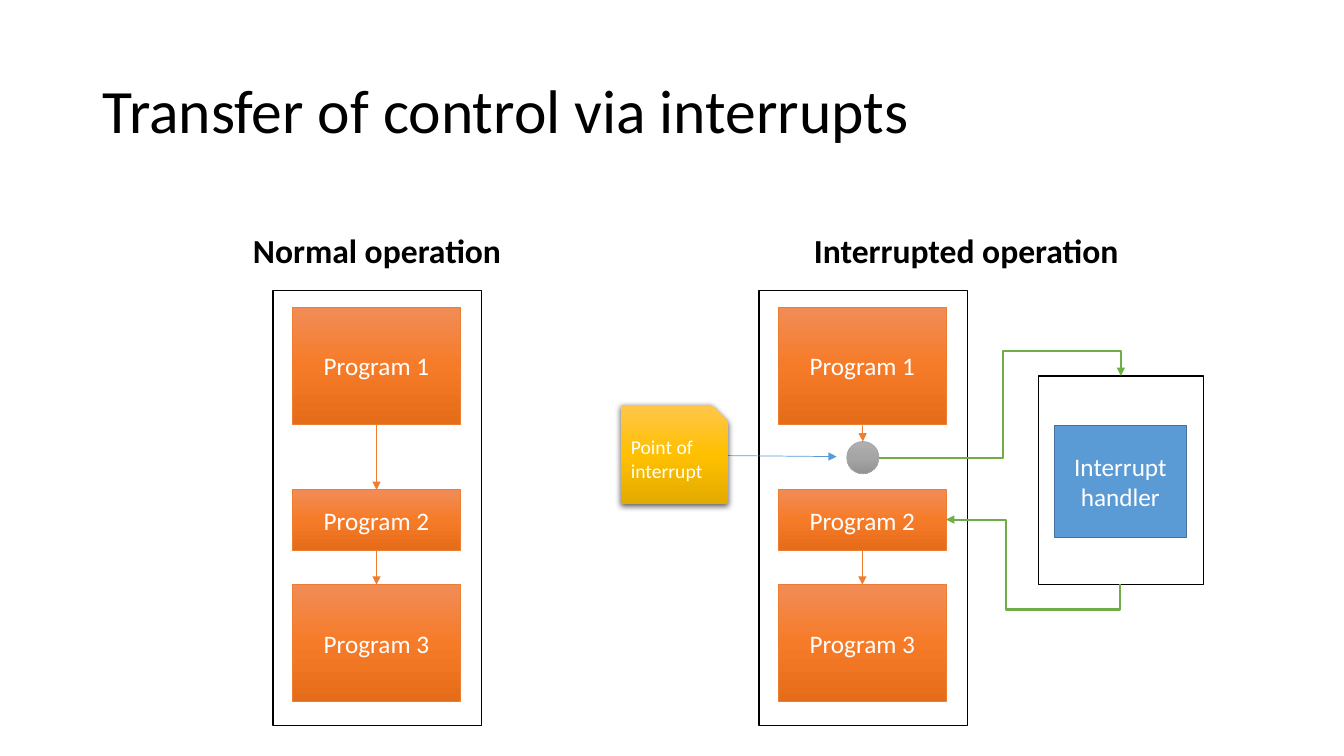
import copy
from dataclasses import dataclass
from typing import Any, Optional

import pptx
import pptx.dml.color
import pptx.enum.shapes
import pptx.enum.text
import pptx.oxml
import pptx.oxml.ns
import pptx.util

RGB = pptx.dml.color.RGBColor
KIND = pptx.enum.shapes.MSO_SHAPE
WIRE = pptx.enum.shapes.MSO_CONNECTOR
ALIGN = pptx.enum.text.PP_ALIGN
ANCHOR = pptx.enum.text.MSO_ANCHOR
Pt = pptx.util.Pt
qn = pptx.oxml.ns.qn

BLACK = RGB(0x00, 0x00, 0x00)
WHITE = RGB(0xFF, 0xFF, 0xFF)
ORANGE = RGB(0xED, 0x7D, 0x31)
BLUE = RGB(0x5B, 0x9B, 0xD5)
NAVY = RGB(0x43, 0x73, 0x9E)
GREEN = RGB(0x70, 0xAD, 0x47)
GREY = RGB(0xA5, 0xA5, 0xA5)
FLAME = (RGB(0xF1, 0x8C, 0x57), RGB(0xF6, 0x7B, 0x28), RGB(0xE5, 0x6C, 0x19))
STEEL = (RGB(0xAF, 0xAF, 0xAF), GREY, RGB(0x93, 0x93, 0x93))
GOLD = (RGB(0xFF, 0xC6, 0x4B), RGB(0xFF, 0xC0, 0x00), RGB(0xE3, 0xAB, 0x00))

FONT = "Calibri"
CELL = pptx.util.Inches(0.1)  # side of one grid cell
LANE_TOP, LANE_WIDE, LANE_HIGH = 28.8, 20.7, 43.2
STEP_WIDE = 16.6
TOP, LEFT, BASE, RIGHT = range(4)


@dataclass
class Box:
    """A shape placed by grid column and row."""
    col: float
    row: float
    wide: float
    high: float
    fill: tuple[RGB, ...] = (WHITE,)
    line: Optional[RGB] = BLACK
    weight: float = 1
    text: str = ""
    size: int = 18
    align: Any = ALIGN.CENTER
    kind: Any = KIND.RECTANGLE


@dataclass
class Head:
    """A heading held by a layout placeholder."""
    slot: int
    text: str
    col: float
    row: float
    wide: float
    high: float
    size: int
    bold: bool
    align: Any
    anchor: Any
    before: int


@dataclass
class Bend:
    """Frame, turn and adjustments of a four-part elbow."""
    frame: tuple[float, float, float, float]
    turn: int
    flip: str
    adjust: tuple[int, int]


HEADS = (
    Head(0, "Transfer of control via interrupts", 9.2, 4, 115, 14.5,
         44, False, ALIGN.LEFT, ANCHOR.MIDDLE, 0),
    Head(1, "Normal operation", 9.2, 18.4, 56.4, 9,
         24, True, ALIGN.CENTER, ANCHOR.BOTTOM, 10),
    Head(3, "Interrupted operation", 67.5, 18.4, 56.7, 9,
         24, True, ALIGN.CENTER, ANCHOR.BOTTOM, 10),
)
STEPS = (("Program 1", 30.5, 11.6), ("Program 2", 48.6, 6), ("Program 3", 58, 11.6))


def cells(*nums: float) -> list[int]:
    return [round(num * CELL) for num in nums]


def write(frame: Any, text: str, size: int, color: RGB, align: Any, bold: bool = False) -> Any:
    para = frame.paragraphs[0]
    para.alignment = align
    run = para.add_run()
    run.text = text
    run.font.name, run.font.size, run.font.bold = FONT, Pt(size), bold
    run.font.color.rgb = color
    return para


def put_head(slide: Any, head: Head) -> None:
    hold = next(ph for ph in slide.placeholders if ph.placeholder_format.idx == head.slot)
    hold.left, hold.top, hold.width, hold.height = cells(
        head.col, head.row, head.wide, head.high)
    frame = hold.text_frame
    frame.auto_size = pptx.enum.text.MSO_AUTO_SIZE.NONE
    frame.vertical_anchor = head.anchor
    para = write(frame, head.text, head.size, BLACK, head.align, head.bold)
    para.line_spacing, para.space_before = 0.9, Pt(head.before)


def paint(shape: Any, tones: tuple[RGB, ...]) -> None:
    """Fill with one colour, or with three from top to bottom."""
    if len(tones) == 1:
        shape.fill.solid()
        shape.fill.fore_color.rgb = tones[0]
        return
    shape.fill.gradient()
    shape.fill.gradient_angle = 270
    stops = shape.element.find(".//" + qn("a:gsLst"))
    stops.append(copy.deepcopy(stops[0]))
    for num, (stop, tone) in enumerate(zip(shape.fill.gradient_stops, tones)):
        stop.position = num / 2
        stop.color.rgb = tone


def put_box(slide: Any, box: Box) -> Any:
    shape = slide.shapes.add_shape(box.kind, *cells(box.col, box.row, box.wide, box.high))
    shape.shadow.inherit = False
    paint(shape, box.fill)
    if box.line is None:
        shape.line.fill.background()
    else:
        shape.line.color.rgb = box.line
        shape.line.width = Pt(box.weight)
    if box.text:
        shape.text_frame.word_wrap = True
        shape.text_frame.vertical_anchor = ANCHOR.MIDDLE
        write(shape.text_frame, box.text, box.size, WHITE, box.align)
    return shape


def cast(shape: Any) -> None:
    """Drop a soft shadow straight below the shape."""
    glow = shape.element.spPr.find(qn("a:effectLst"))
    glow.append(pptx.oxml.parse_xml(
        f'<a:outerShdw {pptx.oxml.ns.nsdecls("a")} blurRad="57150" dist="19050" '
        'dir="5400000" algn="ctr" rotWithShape="0"><a:srgbClr val="000000">'
        '<a:alpha val="63000"/></a:srgbClr></a:outerShdw>'))


def shape_bend(link: Any, bend: Bend) -> None:
    link.left, link.top, link.width, link.height = cells(*bend.frame)
    place = link.element.spPr.find(qn("a:xfrm"))
    for name in ("flipH", "flipV"):
        place.set(name, "1" if name == bend.flip else "0")
    place.set("rot", str(bend.turn * 60000))
    geom = link.element.spPr.find(qn("a:prstGeom"))
    geom.set("prst", "bentConnector4")
    guide = geom.find(qn("a:avLst"))
    for num, part in enumerate(bend.adjust, 1):
        gd = guide.makeelement(qn("a:gd"), {"name": f"adj{num}", "fmla": f"val {part}"})
        guide.append(gd)


def put_link(slide: Any, ends: tuple[float, float, float, float], color: RGB,
             weight: float = 0.5, start: Any = None, stop: Any = None,
             sides: tuple[int, int] = (BASE, TOP), bend: Optional[Bend] = None) -> None:
    """Draw an arrow, joined to the shapes given for its ends."""
    kind = WIRE.ELBOW if bend else WIRE.STRAIGHT
    link = slide.shapes.add_connector(kind, *cells(*ends))
    if start is not None:
        link.begin_connect(start, sides[0])
    if stop is not None:
        link.end_connect(stop, sides[1])
    if bend:
        shape_bend(link, bend)
    link.line.color.rgb = color
    link.line.width = Pt(weight)
    props = link.element.spPr
    edge = props.find(qn("a:ln"))
    edge.append(edge.makeelement(qn("a:tailEnd"), {"type": "triangle"}))
    props.append(props.makeelement(qn("a:effectLst"), {}))


def put_lane(slide: Any, col: float) -> list[Any]:
    """Draw a framed column of programs and return their shapes."""
    put_box(slide, Box(col, LANE_TOP, LANE_WIDE, LANE_HIGH))
    inset = col + 1.95
    return [put_box(slide, Box(inset, row, STEP_WIDE, high, FLAME, ORANGE, 0.5, text))
            for text, row, high in STEPS]


def join(slide: Any, first: Any, last: Any) -> None:
    put_link(slide, (0, 0, 1, 1), ORANGE, start=first, stop=last)


def main() -> None:
    deck = pptx.Presentation()
    deck.slide_width, deck.slide_height = cells(133.33, 75)
    slide = deck.slides.add_slide(deck.slide_layouts[4])
    for head in HEADS:
        put_head(slide, head)
    used = {head.slot for head in HEADS}
    for hold in list(slide.placeholders):
        if hold.placeholder_format.idx not in used:
            hold.element.getparent().remove(hold.element)

    one, two, three = put_lane(slide, 27.1)
    join(slide, one, two)
    join(slide, two, three)

    one, two, three = put_lane(slide, 75.3)
    join(slide, two, three)
    outer = put_box(slide, Box(103, 37.3, 16.4, 20.7))
    put_box(slide, Box(104.6, 42.2, 13.1, 11.1, (BLUE,), NAVY, 1, "Interrupt handler"))
    point = put_box(slide, Box(84, 43.8, 3.2, 3.2, STEEL, GREY, 0.5, kind=KIND.OVAL))
    put_link(slide, (72.1, 45.2, 83, 45.3), BLUE)
    note = put_box(slide, Box(61.6, 40.2, 10.6, 9.8, GOLD, None, 0, "Point of interrupt",
                              14, ALIGN.LEFT, KIND.SNIP_1_RECTANGLE))
    cast(note)
    join(slide, one, point)
    put_link(slide, (87.2, 45.4, 111.2, 37.3), GREEN, 1.5, stop=outer,
             bend=Bend((87.2, 37.3, 24, 8.1), 0, "flipV", (51300, 130700)))
    put_link(slide, (111.2, 58, 93.9, 51.6), GREEN, 1.5, outer, two, (BASE, RIGHT),
             Bend((99.3, 46.1, 6.4, 17.3), 90, "flipH", (-39300, 65400)))
    deck.save("out.pptx")


if __name__ == "__main__":
    main()
